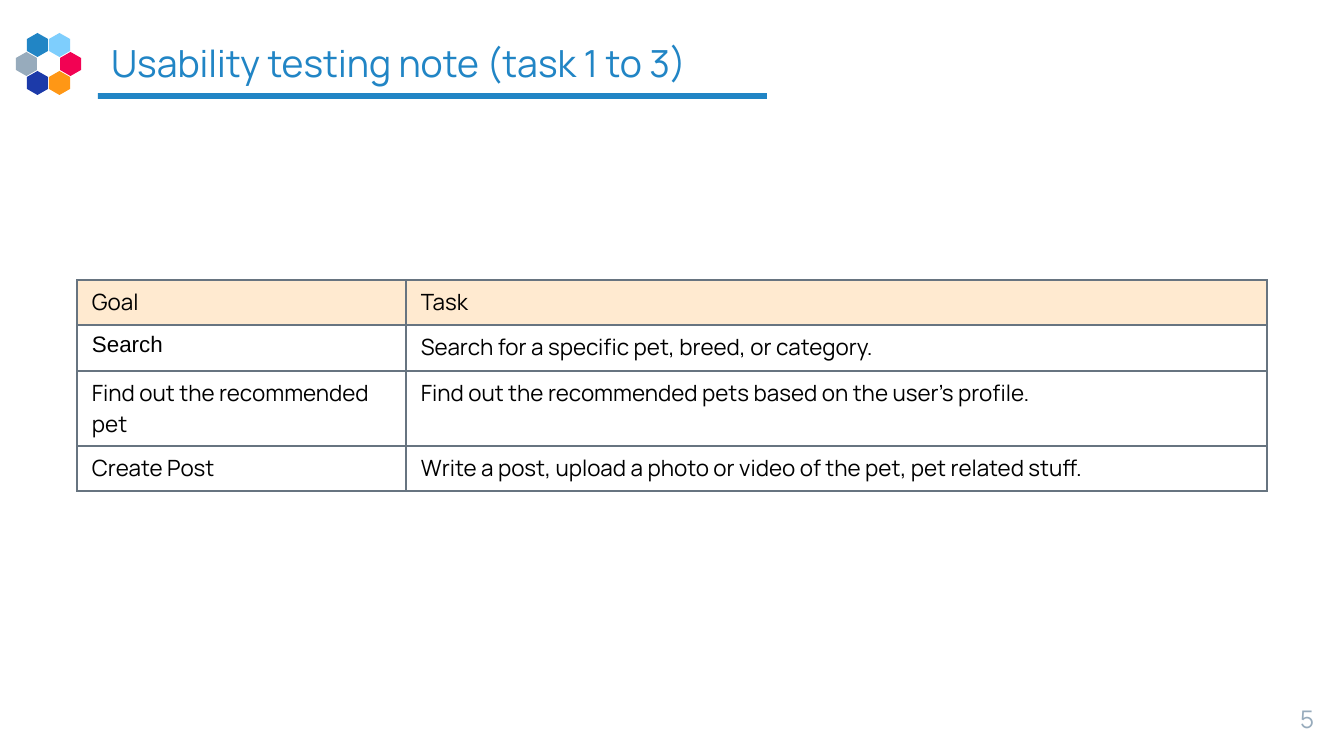
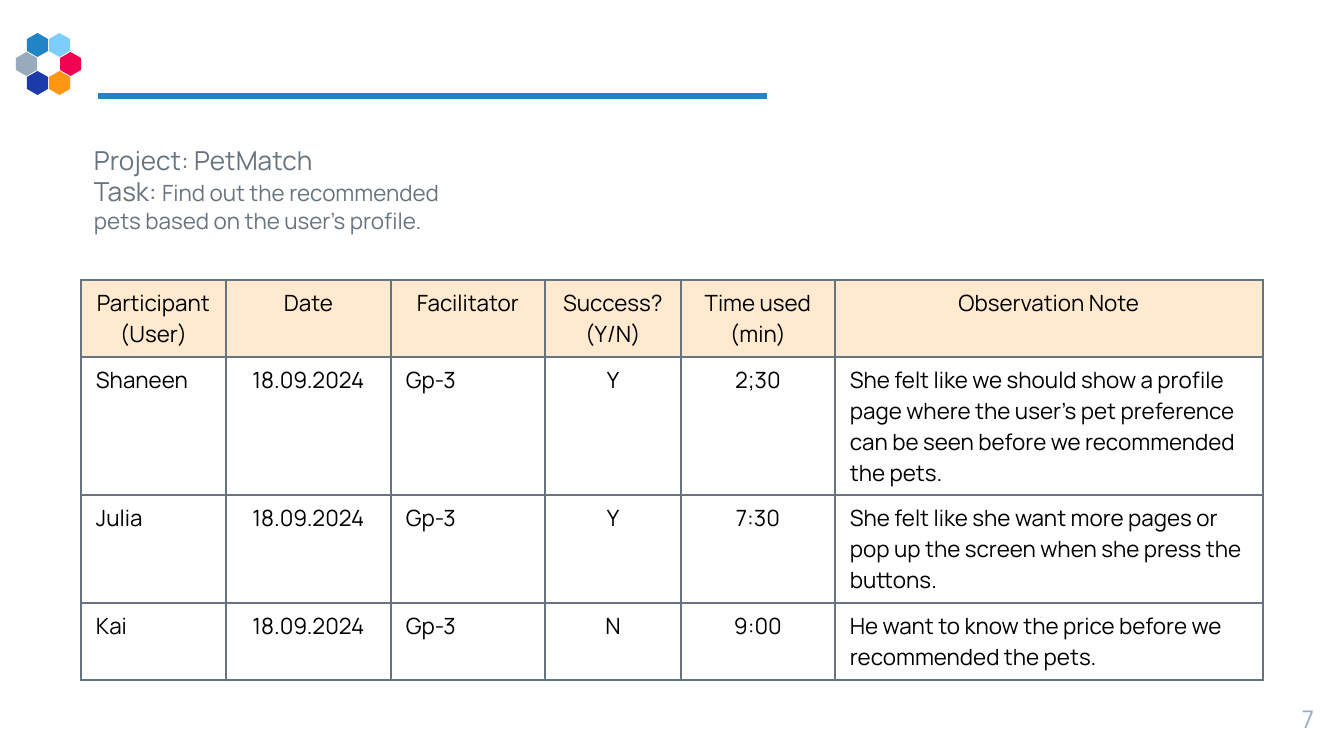
from dataclasses import dataclass, field

from lxml.etree import SubElement
from pptx import Presentation
from pptx.dml.color import RGBColor
from pptx.enum.shapes import MSO_SHAPE
from pptx.enum.text import MSO_ANCHOR, MSO_AUTO_SIZE, PP_ALIGN
from pptx.oxml.ns import qn
from pptx.slide import Slide
from pptx.text.text import TextFrame, _Paragraph as Paragraph
from pptx.util import Emu, Pt

EMU_PER_PX = 914400 / 134.4
FONT = "Manrope"
COLORS = {
    "blue": "2185C5",
    "sky": "7ECEFD",
    "gray": "97ABBC",
    "red": "F20253",
    "orange": "FF9715",
    "navy": "1C3AA9",
    "slate": "677480",
    "cream": "FFEAD0",
    "black": "000000",
}
ALIGNMENTS = {"l": PP_ALIGN.LEFT, "c": PP_ALIGN.CENTER, "r": PP_ALIGN.RIGHT}


@dataclass(frozen=True)
class Box:
    left: int
    top: int
    width: int
    height: int


@dataclass(frozen=True)
class Hexagon:
    column: int
    row: int
    color: str


@dataclass(frozen=True)
class Grid:
    left: int
    top: int
    columns: list[int]
    rows: list[int]
    cells: list[list[str]]
    header_alignment: str
    alignments: str
    inset: int
    border: float
    fonts: dict[tuple[int, int], str] = field(default_factory=dict)


TITLE_BOX = Box(98, 33, 1149, 59)
RULE_BOX = Box(98, 93, 669, 6)
NUMBER_BOX = Box(1246, 691, 81, 46)
NOTE_BOX = Box(81, 137, 403, 103)
HEXAGONS = [
    Hexagon(3, 0, "sky"),
    Hexagon(1, 0, "blue"),
    Hexagon(0, 1, "gray"),
    Hexagon(4, 1, "red"),
    Hexagon(3, 2, "orange"),
    Hexagon(1, 2, "navy"),
]

TASKS = Grid(
    left=77,
    top=280,
    columns=[329, 861],
    rows=[45, 46, 75, 45],
    cells=[
        ["Goal", "Task"],
        ["Search", "Search for a specific pet, breed, or category."],
        ["Find out the recommended pet",
         "Find out the recommended pets based on the user’s profile."],
        ["Create Post",
         "Write a post, upload a photo or video of the pet, pet related stuff."],
    ],
    header_alignment="l",
    alignments="ll",
    inset=7,
    border=1.07,
    fonts={(1, 0): "Arial"},
)

SESSIONS = Grid(
    left=81,
    top=280,
    columns=[145, 165, 154, 136, 154, 428],
    rows=[77, 138, 108, 77],
    cells=[
        ["Participant\n(User)", "Date", "Facilitator", "Success?\n(Y/N)",
         "Time used\n(min)", "Observation Note"],
        ["Shaneen", "18.09.2024", "Gp-3", "Y", "2;30",
         "She felt like we should show a profile page where the user's pet "
         "preference can be seen before we recommended the pets."],
        ["Julia", "18.09.2024", "Gp-3", "Y", "7:30",
         "She felt like she want more pages or pop up the screen when she "
         "press the buttons."],
        ["Kai", "18.09.2024", "Gp-3", "N", "9:00",
         "He want to know the price before we recommended the pets."],
    ],
    header_alignment="c",
    alignments="lclccl",
    inset=8,
    border=1.14,
)


def px(length: float) -> Emu:
    """Turn a length in px into EMU."""
    return Emu(round(length * EMU_PER_PX))


def rgb(name: str) -> RGBColor:
    """Look up a named colour."""
    return RGBColor.from_string(COLORS[name])


def place(box: Box) -> tuple[Emu, Emu, Emu, Emu]:
    """Give the position and size of a box in EMU."""
    return px(box.left), px(box.top), px(box.width), px(box.height)


def format_runs(paragraph: Paragraph, size: int, color: str,
                alignment: str = "l", font: str = FONT) -> None:
    """Style every run of a paragraph."""
    paragraph.alignment = ALIGNMENTS[alignment]
    for run in paragraph.runs:
        run.font.name = font
        run.font.size = Pt(size)
        run.font.color.rgb = rgb(color)


def add_text(slide: Slide, box: Box, text: str, size: int, color: str,
             alignment: str = "l", inset_y: int = 13) -> TextFrame:
    """Add a wrapping text box in one style."""
    text_frame = slide.shapes.add_textbox(*place(box)).text_frame
    text_frame.word_wrap = True
    text_frame.margin_left = text_frame.margin_right = px(13)
    text_frame.margin_top = text_frame.margin_bottom = px(inset_y)
    text_frame.text = text
    for paragraph in text_frame.paragraphs:
        format_runs(paragraph, size, color, alignment)
    return text_frame


def fill_shape(shape, color: str) -> None:
    """Give a shape a flat fill without line or shadow."""
    shape.shadow.inherit = False
    shape.fill.solid()
    shape.fill.fore_color.rgb = rgb(color)
    shape.line.fill.background()


def add_hexagon(slide: Slide, hexagon: Hexagon) -> None:
    """Draw one upright hexagon of the corner ring."""
    width, height = 21, 24
    left, top = 16 + 11 * hexagon.column, 33 + 19 * hexagon.row
    fractions = [(0.5, 0), (1, 0.25), (1, 0.75), (0.5, 1), (0, 0.75), (0, 0.25)]
    points = [(px(left + x * width), px(top + y * height)) for x, y in fractions]
    builder = slide.shapes.build_freeform(*points[0])
    builder.add_line_segments(points[1:])
    fill_shape(builder.convert_to_shape(), hexagon.color)


def add_frame(slide: Slide, number: int, title: str = "") -> None:
    """Add the rule, hexagon ring, title and page number."""
    rule = slide.shapes.add_shape(MSO_SHAPE.RECTANGLE, *place(RULE_BOX))
    fill_shape(rule, "blue")
    for hexagon in HEXAGONS:
        add_hexagon(slide, hexagon)
    if title:
        text_frame = add_text(slide, TITLE_BOX, title, 20, "blue")
        text_frame.vertical_anchor = MSO_ANCHOR.MIDDLE
    add_text(slide, NUMBER_BOX, str(number), 13, "gray", "r")


def add_borders(cell, width: float) -> None:
    """Draw a line on all four sides of a cell."""
    properties = cell._tc.get_or_add_tcPr()
    for side in ("a:lnL", "a:lnR", "a:lnT", "a:lnB"):
        line = SubElement(properties, qn(side), w=str(Pt(width)))
        fill = SubElement(line, qn("a:solidFill"))
        SubElement(fill, qn("a:srgbClr"), val=COLORS["slate"])


def add_grid(slide: Slide, grid: Grid) -> None:
    """Add a bordered table with a tinted header row."""
    box = Box(grid.left, grid.top, sum(grid.columns), sum(grid.rows))
    table = slide.shapes.add_table(
        len(grid.rows), len(grid.columns), *place(box)).table
    table.first_row = table.horz_banding = False
    for column, width in zip(table.columns, grid.columns):
        column.width = px(width)
    for row, height in zip(table.rows, grid.rows):
        row.height = px(height)
    for row_index, texts in enumerate(grid.cells):
        for column_index, text in enumerate(texts):
            cell = table.cell(row_index, column_index)
            cell.margin_left = cell.margin_right = px(15)
            cell.margin_top = cell.margin_bottom = px(grid.inset)
            add_borders(cell, grid.border)
            if row_index == 0:
                alignment = grid.header_alignment
                cell.fill.solid()
                cell.fill.fore_color.rgb = rgb("cream")
            else:
                alignment = grid.alignments[column_index]
                cell.fill.background()
            cell.text = text
            font = grid.fonts.get((row_index, column_index), FONT)
            for paragraph in cell.text_frame.paragraphs:
                format_runs(paragraph, 12, "black", alignment, font)


def add_project_note(slide: Slide) -> None:
    """Add the project name and the task being tested."""
    text_frame = add_text(slide, NOTE_BOX, "Project: PetMatch\nTask: ",
                          14, "slate", inset_y=7)
    text_frame.auto_size = MSO_AUTO_SIZE.SHAPE_TO_FIT_TEXT
    task = text_frame.paragraphs[1]
    description = task.add_run()
    description.text = "Find out the recommended pets based on the user’s profile."
    format_runs(task, 14, "slate")
    description.font.size = Pt(12)


def main() -> None:
    """Build and save the two slides."""
    presentation = Presentation()
    presentation.slide_width, presentation.slide_height = px(1344), px(756)
    blank = presentation.slide_layouts[6]

    tasks_slide = presentation.slides.add_slide(blank)
    add_frame(tasks_slide, 5, "Usability testing note (task 1 to 3)")
    add_grid(tasks_slide, TASKS)

    sessions_slide = presentation.slides.add_slide(blank)
    add_frame(sessions_slide, 7)
    add_grid(sessions_slide, SESSIONS)
    add_project_note(sessions_slide)

    presentation.save("out.pptx")


if __name__ == "__main__":
    main()
